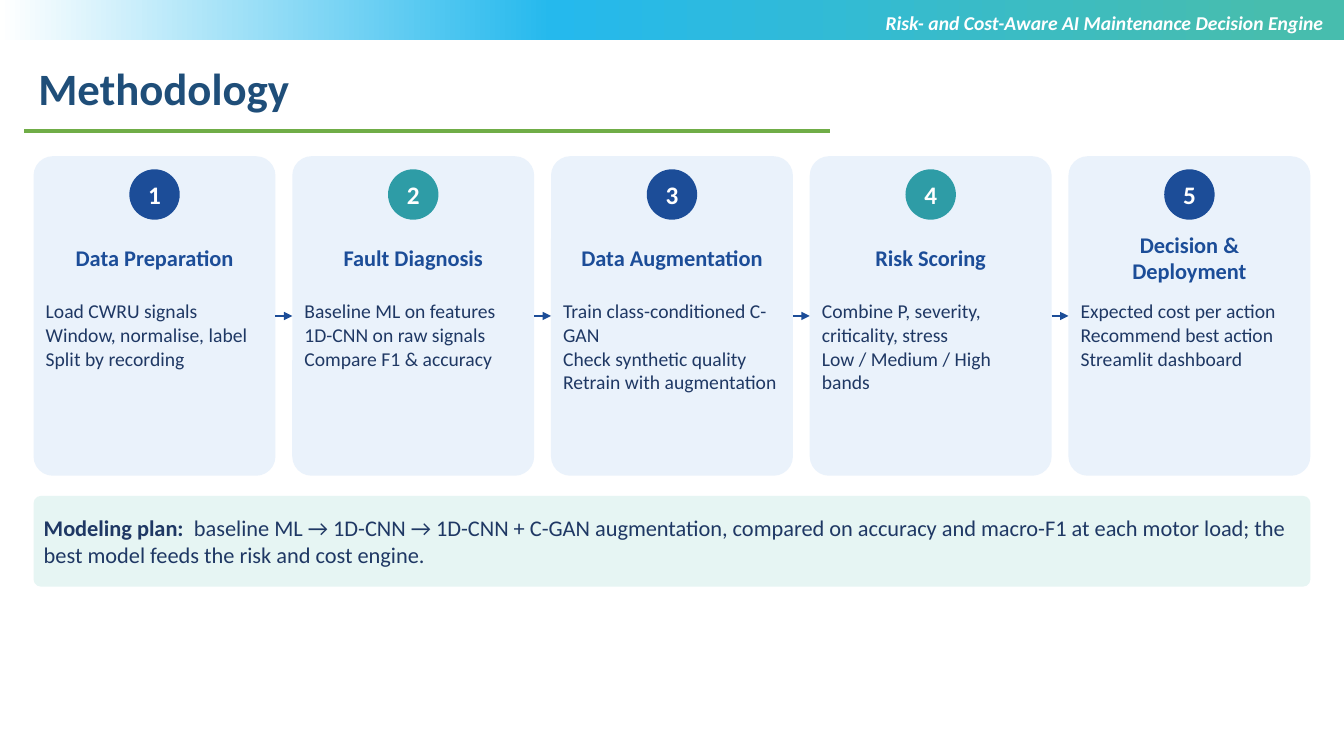
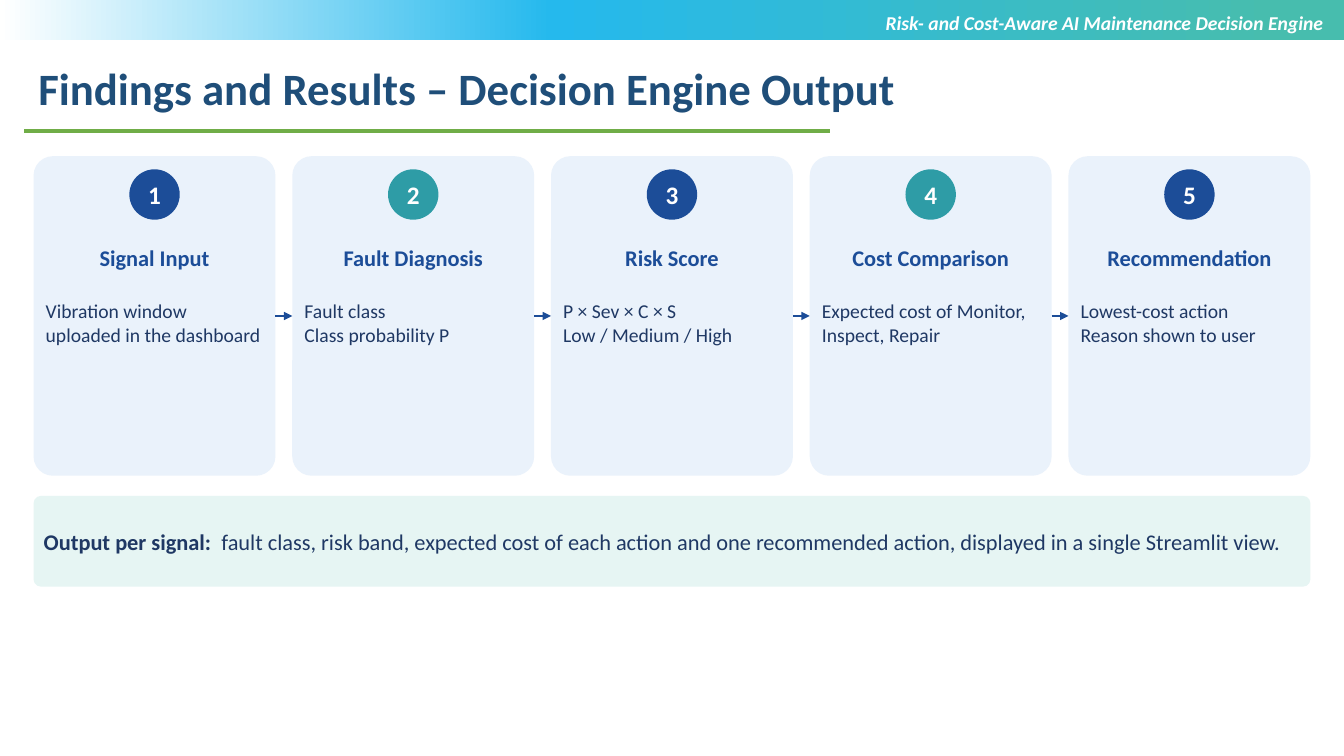
from copy import deepcopy

from pptx import Presentation
from pptx.dml.color import RGBColor
from pptx.enum.shapes import MSO_CONNECTOR, MSO_SHAPE
from pptx.enum.text import MSO_ANCHOR, MSO_AUTO_SIZE, PP_ALIGN
from pptx.oxml.ns import qn
from pptx.util import Inches, Pt
from lxml.etree import SubElement

FONT = "Calibri"
BLUE, TEAL, NAVY, WHITE = "1C4D98", "2E9CA6", "1F3864", "FFFFFF"
TITLE_BLUE, RULE_GREEN = "1F4E79", "70AD47"
CARD_FILL, BANNER_FILL = "EAF2FB", "E6F5F3"
BAND_STOPS = [(0.05, "47BDAE"), (0.59, "25B9ED"), (1, "FFFFFF")]
RUNNING_TITLE = "Risk- and Cost-Aware AI Maintenance Decision Engine"

WIDTH, HEIGHT = 13.33, 7.5
MARGIN, GAP = WIDTH / 40, WIDTH / 80
CONTENT_WIDTH = WIDTH - 2 * MARGIN
CARD_TOP, CARD_HEIGHT = 1.55, 3.17
BANNER_TOP, BANNER_HEIGHT = 4.92, 0.9

SLIDES = [
    ("Methodology", [
        ("Data Preparation", ["Load CWRU signals", "Window, normalise, label",
                              "Split by recording"]),
        ("Fault Diagnosis", ["Baseline ML on features", "1D-CNN on raw signals",
                             "Compare F1 & accuracy"]),
        ("Data Augmentation", ["Train class-conditioned C-GAN",
                               "Check synthetic quality",
                               "Retrain with augmentation"]),
        ("Risk Scoring", ["Combine P, severity, criticality, stress",
                          "Low / Medium / High bands"]),
        ("Decision & Deployment", ["Expected cost per action",
                                   "Recommend best action",
                                   "Streamlit dashboard"]),
    ], "Modeling plan:  ",
     "baseline ML → 1D-CNN → 1D-CNN + C-GAN augmentation, compared on accuracy "
     "and macro-F1 at each motor load; the best model feeds the risk and cost engine."),
    ("Findings and Results – Decision Engine Output", [
        ("Signal Input", ["Vibration window uploaded in the dashboard"]),
        ("Fault Diagnosis", ["Fault class", "Class probability P"]),
        ("Risk Score", ["P × Sev × C × S", "Low / Medium / High"]),
        ("Cost Comparison", ["Expected cost of Monitor, Inspect, Repair"]),
        ("Recommendation", ["Lowest-cost action", "Reason shown to user"]),
    ], "Output per signal:  ",
     "fault class, risk band, expected cost of each action and one recommended "
     "action, displayed in a single Streamlit view."),
]


def rgb(color):
    return RGBColor.from_string(color)


def inches(*lengths):
    return [Inches(length) for length in lengths]


def format_paragraph(paragraph, size, color, bold=False, italic=False,
                     align=PP_ALIGN.LEFT):
    paragraph.alignment = align
    font = paragraph.font
    font.name, font.size = FONT, Pt(size)
    font.bold, font.italic = bold, italic
    font.color.rgb = rgb(color)


def set_frame(shape, anchor, side=0.1, end=0.05):
    """Wrap the text and set its anchor and its side and end insets."""
    frame = shape.text_frame
    frame.word_wrap = True
    frame.auto_size = MSO_AUTO_SIZE.NONE
    frame.vertical_anchor = anchor
    frame.margin_left = frame.margin_right = Inches(side)
    frame.margin_top = frame.margin_bottom = Inches(end)
    return frame


def add_text(slide, box, lines, size, color, anchor=MSO_ANCHOR.TOP, inset=None, **style):
    text_box = slide.shapes.add_textbox(*inches(*box))
    frame = set_frame(text_box, anchor, *([inset, inset] if inset else []))
    frame.text = "\n".join(lines)
    for paragraph in frame.paragraphs:
        format_paragraph(paragraph, size, color, **style)


def add_block(slide, kind, box, fill):
    shape = slide.shapes.add_shape(kind, *inches(*box))
    shape.shadow.inherit = False
    shape.fill.solid()
    shape.fill.fore_color.rgb = rgb(fill)
    shape.line.fill.background()
    if kind == MSO_SHAPE.ROUNDED_RECTANGLE:
        shape.adjustments[0] = 0.08
    return shape


def add_line(slide, start, end, color, width):
    line = slide.shapes.add_connector(MSO_CONNECTOR.STRAIGHT, *inches(*start, *end))
    line.line.color.rgb = rgb(color)
    line.line.width = Pt(width)
    SubElement(line._element.spPr, qn("a:effectLst"))
    return line


def add_arrow(slide, left_card, right_card):
    arrow = add_line(slide, (0, 0), (0, 0), BLUE, 2)
    arrow.begin_connect(left_card, 3)
    arrow.end_connect(right_card, 1)
    SubElement(arrow.line._get_or_add_ln(), qn("a:tailEnd"), type="triangle")


def prepare_layout(layout, slide):
    """Put the gradient band and the title position on the layout."""
    band = add_block(slide, MSO_SHAPE.RECTANGLE, (0, 0, WIDTH, 0.4), WHITE)
    band.fill.gradient()
    band.fill.gradient_angle = 180
    stop_list = band._element.spPr.find(qn("a:gradFill")).find(qn("a:gsLst"))
    stop_list.append(deepcopy(stop_list[-1]))
    for stop, (position, color) in zip(band.fill.gradient_stops, BAND_STOPS):
        stop.position = position
        stop.color.rgb = rgb(color)
    layout.shapes._spTree.insert(2, band._element)
    title = layout.placeholders[0]
    title.left, title.top, title.width, title.height = inches(0.28, 0.55, 11.62, 0.71)


def add_header(slide, title):
    slide.shapes.title.text = title
    frame = set_frame(slide.shapes.title, MSO_ANCHOR.TOP)
    format_paragraph(frame.paragraphs[0], 32, TITLE_BLUE, bold=True)
    add_line(slide, (0.24, 1.3), (8.23, 1.3), RULE_GREEN, 2.25)
    add_text(slide, (3.5, 0.06, 9.73, 0.71), [RUNNING_TITLE], 14, WHITE,
             bold=True, italic=True, align=PP_ALIGN.RIGHT)


def add_card(slide, box, number, heading, lines):
    left, top, width, height = box
    card = add_block(slide, MSO_SHAPE.ROUNDED_RECTANGLE, box, CARD_FILL)
    diameter = 0.5
    badge = add_block(slide, MSO_SHAPE.OVAL,
                      (left + (width - diameter) / 2, top + 0.13, diameter, diameter),
                      BLUE if number % 2 else TEAL)
    frame = set_frame(badge, MSO_ANCHOR.MIDDLE, 0.08, 0.04)
    frame.text = str(number)
    format_paragraph(frame.paragraphs[0], 18, WHITE, bold=True, align=PP_ALIGN.CENTER)
    pad = 0.04
    text_left, text_width = left + pad, width - 2 * pad
    add_text(slide, (text_left, top + 0.7, text_width, 0.61), [heading], 16, BLUE,
             MSO_ANCHOR.MIDDLE, 0.08, bold=True, align=PP_ALIGN.CENTER)
    add_text(slide, (text_left, top + 1.34, text_width, height - 1.34 - pad),
             lines, 14, NAVY, inset=0.08)
    return card


def add_process(slide, box, steps):
    """Spread the numbered cards evenly over the box and link them."""
    left, top, width, height = box
    card_width = (width - GAP * (len(steps) - 1)) / len(steps)
    cards = [
        add_card(slide, (left + index * (card_width + GAP), top, card_width, height),
                 index + 1, heading, lines)
        for index, (heading, lines) in enumerate(steps)
    ]
    for left_card, right_card in zip(cards, cards[1:]):
        add_arrow(slide, left_card, right_card)


def add_banner(slide, box, label, text):
    banner = add_block(slide, MSO_SHAPE.ROUNDED_RECTANGLE, box, BANNER_FILL)
    paragraph = set_frame(banner, MSO_ANCHOR.MIDDLE, 0.08, 0.04).paragraphs[0]
    format_paragraph(paragraph, 16, NAVY)
    for content, bold in ((label, True), (text, False)):
        run = paragraph.add_run()
        run.text = content
        run.font.bold = bold


def main():
    presentation = Presentation()
    presentation.slide_width, presentation.slide_height = inches(WIDTH, HEIGHT)
    layout = presentation.slide_layouts[5]
    slides = [presentation.slides.add_slide(layout) for _ in SLIDES]
    prepare_layout(layout, slides[0])
    for slide, (title, steps, label, text) in zip(slides, SLIDES):
        add_header(slide, title)
        add_process(slide, (MARGIN, CARD_TOP, CONTENT_WIDTH, CARD_HEIGHT), steps)
        add_banner(slide, (MARGIN, BANNER_TOP, CONTENT_WIDTH, BANNER_HEIGHT), label, text)
    presentation.save("out.pptx")


if __name__ == "__main__":
    main()
